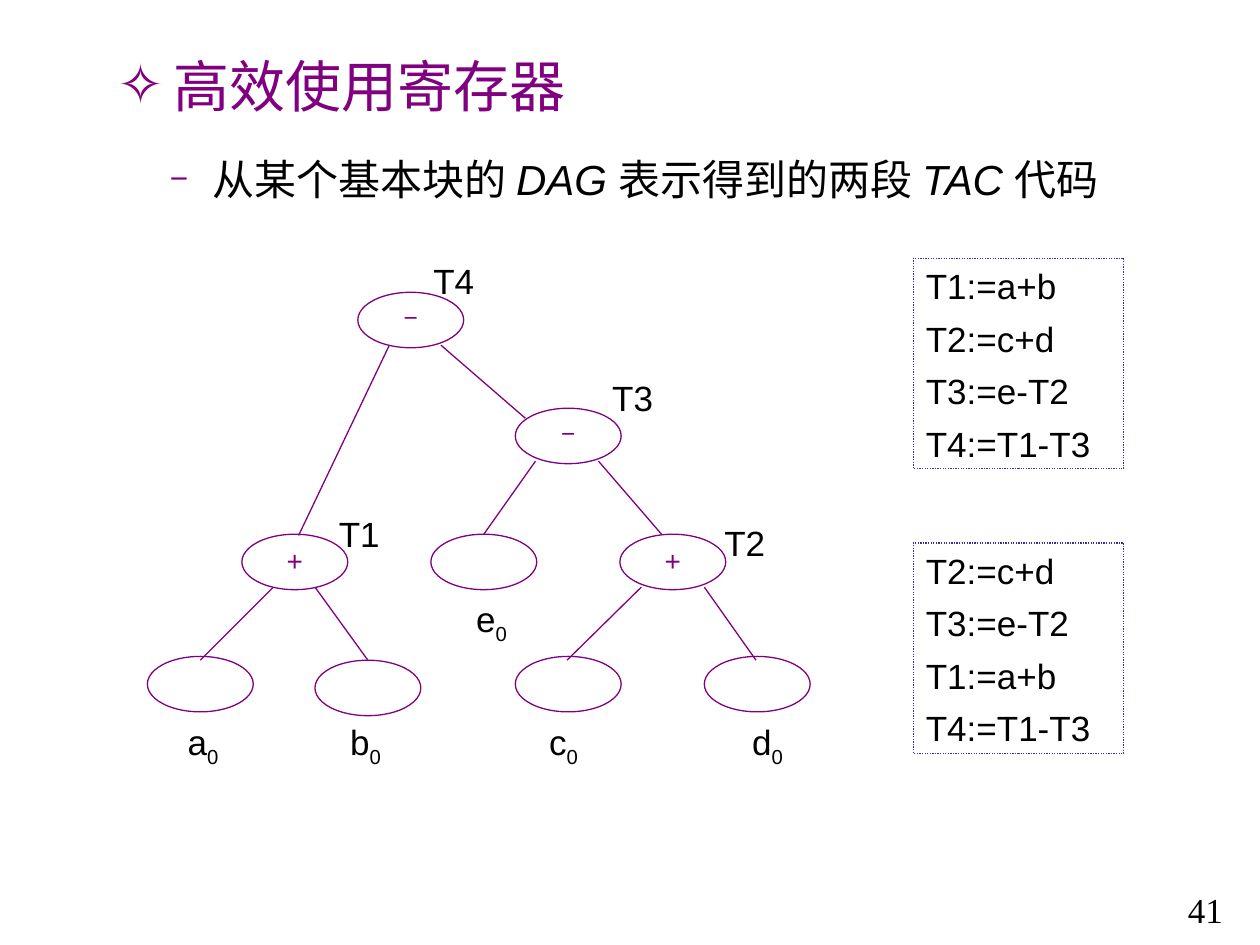
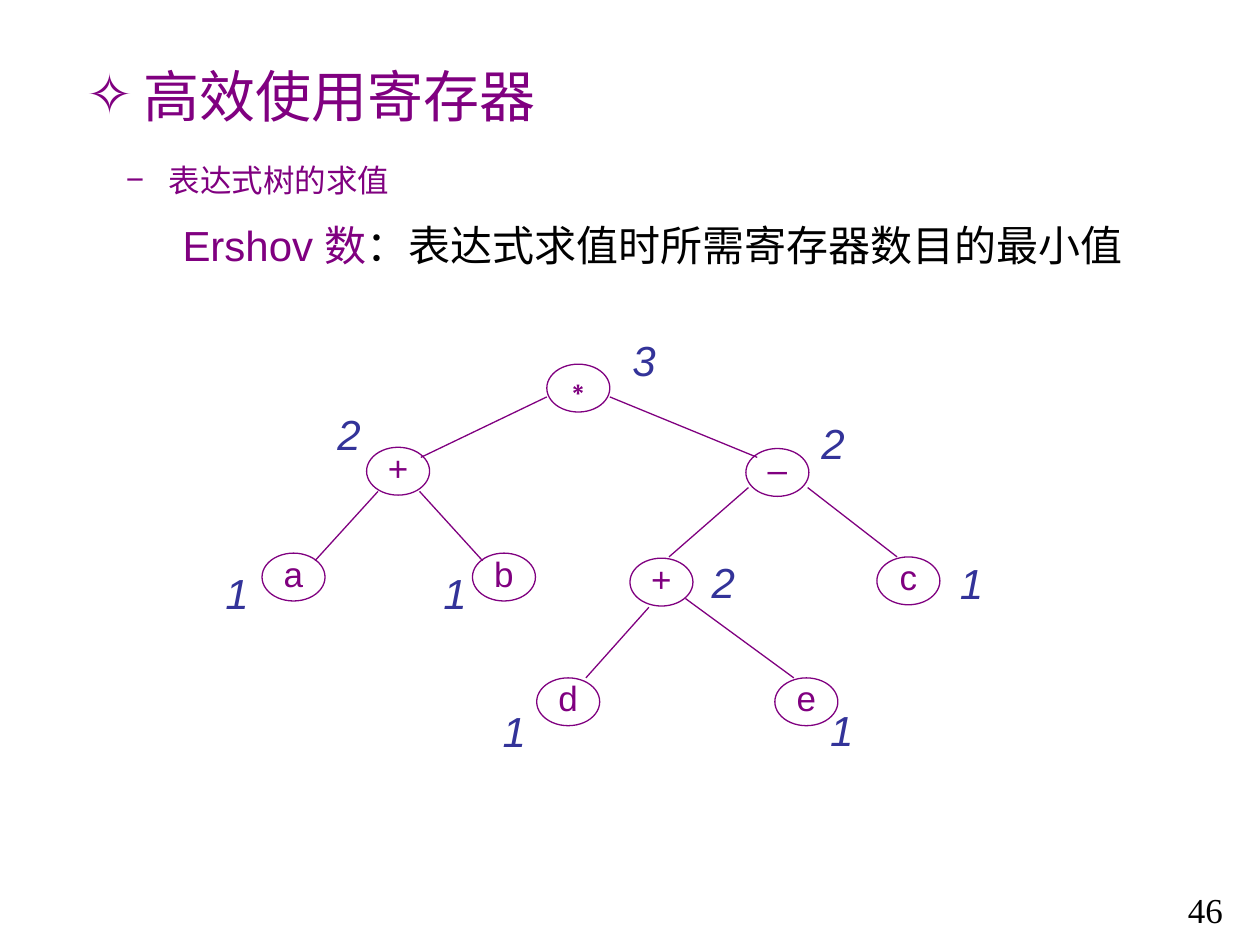
"""Build two slides on efficient register use: a DAG with its code, and an Ershov-numbered tree."""
from dataclasses import dataclass
from typing import Optional

from lxml.etree import SubElement
from pptx import Presentation
from pptx.dml.color import RGBColor
from pptx.enum.dml import MSO_LINE
from pptx.enum.shapes import MSO_CONNECTOR, MSO_SHAPE
from pptx.enum.text import MSO_ANCHOR, MSO_AUTO_SIZE, PP_ALIGN
from pptx.oxml.ns import qn
from pptx.util import Inches, Pt


@dataclass(frozen=True)
class Theme:
    purple: RGBColor = RGBColor(0x80, 0x00, 0x80)
    navy: RGBColor = RGBColor(0x33, 0x33, 0x99)
    black: RGBColor = RGBColor(0, 0, 0)
    white: RGBColor = RGBColor(0xFF, 0xFF, 0xFF)
    font: str = "Arial"
    number_font: str = "Times New Roman"
    title_size: int = 32
    lead_size: int = 24
    body_size: int = 20
    topic_size: int = 18
    plus_size: int = 16
    minus_size: int = 14
    line_width: float = 0.75


THEME = Theme()


@dataclass(frozen=True)
class Span:
    text: str
    color: Optional[RGBColor] = None
    italic: bool = False
    subscript: bool = False


@dataclass(frozen=True)
class Node:
    left: float
    top: float
    text: str = ""
    size: int = THEME.body_size


@dataclass(frozen=True)
class Label:
    left: float
    top: float
    text: str
    subscript: str = ""


@dataclass(frozen=True)
class Edge:
    start: tuple[float, float]
    end: tuple[float, float]


@dataclass(frozen=True)
class NodeStyle:
    width: float
    height: float
    insets: tuple[float, float]
    anchor: MSO_ANCHOR
    line_spacing: float = 1.0
    fill: Optional[RGBColor] = None


DAG_STYLE = NodeStyle(0.84, 0.44, (0.06, 0.01), MSO_ANCHOR.TOP, fill=THEME.white)
TREE_STYLE = NodeStyle(0.5, 0.38, (0.1, 0), MSO_ANCHOR.MIDDLE, line_spacing=0.8)

DAG_NODES = [
    Node(2.84, 2.32, "−", THEME.minus_size),
    Node(4.09, 3.24, "−", THEME.minus_size),
    Node(1.92, 4.24, "+", THEME.plus_size),
    Node(3.42, 4.24),
    Node(4.92, 4.24, "+", THEME.plus_size),
    Node(1.17, 5.21),
    Node(2.5, 5.24),
    Node(4.09, 5.21),
    Node(5.59, 5.21),
]
DAG_EDGES = [
    Edge((3.09, 2.74), (2.37, 4.25)),
    Edge((3.5, 2.74), (4.17, 3.32)),
    Edge((4.25, 3.66), (3.84, 4.24)),
    Edge((4.75, 3.66), (5.25, 4.24)),
    Edge((2.17, 4.66), (1.59, 5.24)),
    Edge((2.5, 4.66), (2.92, 5.24)),
    Edge((5.09, 4.66), (4.5, 5.24)),
    Edge((5.59, 4.66), (6, 5.24)),
]
DAG_LABELS = [
    Label(3.34, 2.06, "T4"),
    Label(4.76, 2.99, "T3"),
    Label(2.59, 4.07, "T1"),
    Label(5.65, 4.14, "T2"),
    Label(3.68, 4.74, "e", "0"),
    Label(1.39, 5.72, "a", "0"),
    Label(2.68, 5.72, "b", "0"),
    Label(4.26, 5.72, "c", "0"),
    Label(5.87, 5.72, "d", "0"),
]
CODE_BOXES = {
    2.05: ["T1:=a+b", "T2:=c+d", "T3:=e-T2", "T4:=T1-T3"],
    4.31: ["T2:=c+d", "T3:=e-T2", "T1:=a+b", "T4:=T1-T3"],
}

TREE_NODES = [
    Node(4.34, 2.89, "∗"),
    Node(2.91, 3.55, "+"),
    Node(5.92, 3.56, "–"),
    Node(2.08, 4.39, "a"),
    Node(3.75, 4.39, "b"),
    Node(5, 4.43, "+"),
    Node(6.96, 4.42, "c"),
    Node(4.26, 5.38, "d"),
    Node(6.15, 5.38, "e"),
]
TREE_EDGES = [
    Edge((4.34, 3.15), (3.34, 3.63)),
    Edge((4.84, 3.15), (6.01, 3.63)),
    Edge((3, 3.9), (2.5, 4.45)),
    Edge((3.33, 3.9), (3.83, 4.45)),
    Edge((5.94, 3.87), (5.31, 4.42)),
    Edge((6.41, 3.87), (7.12, 4.42)),
    Edge((5.15, 4.82), (4.65, 5.38)),
    Edge((5.44, 4.75), (6.3, 5.38)),
]
ERSHOV_NUMBERS = [
    Label(4.92, 2.73, "3"),
    Label(2.58, 3.32, "2"),
    Label(6.42, 3.39, "2"),
    Label(1.69, 4.58, "1"),
    Label(3.42, 4.58, "1"),
    Label(5.55, 4.49, "2"),
    Label(7.52, 4.5, "1"),
    Label(3.89, 5.68, "1"),
    Label(6.49, 5.67, "1"),
]


def write_text(paragraph, spans, *, size: float, color=THEME.black, font: str = THEME.font,
               alignment=PP_ALIGN.LEFT, line_spacing: float = 1.0, space_before: float = 0,
               bullet: str = "", bullet_percent: int = 100, indent: float = 0) -> None:
    paragraph.alignment = alignment
    paragraph.line_spacing = line_spacing
    paragraph.space_before = Pt(space_before)
    properties = paragraph._p.get_or_add_pPr()
    properties.set("marL", str(Inches(indent)))
    properties.set("indent", str(-Inches(indent) if bullet else 0))
    if bullet:
        bullet_color = SubElement(properties, qn("a:buClr"))
        SubElement(bullet_color, qn("a:srgbClr"), val=str(THEME.purple))
        SubElement(properties, qn("a:buSzPct"), val=str(bullet_percent * 1000))
        SubElement(properties, qn("a:buFont"), typeface=THEME.font)
        SubElement(properties, qn("a:buChar"), char=bullet)
    for span in [Span(spans)] if isinstance(spans, str) else spans:
        run = paragraph.add_run()
        run.text = span.text
        run.font.size = Pt(size)
        run.font.name = font
        run.font.italic = span.italic
        run.font.color.rgb = span.color or color
        if span.subscript:
            run._r.get_or_add_rPr().set("baseline", "-25000")


def set_frame(shape, *, insets: tuple[float, float] = (0.1, 0.05),
              anchor=MSO_ANCHOR.TOP, wrap: bool = True):
    frame = shape.text_frame
    frame.auto_size = MSO_AUTO_SIZE.NONE
    frame.word_wrap = wrap
    frame.vertical_anchor = anchor
    frame.margin_left = frame.margin_right = Inches(insets[0])
    frame.margin_top = frame.margin_bottom = Inches(insets[1])
    return frame


def add_text_box(slide, left: float, top: float, width: float, height: float, **frame_format):
    box = slide.shapes.add_textbox(Inches(left), Inches(top), Inches(width), Inches(height))
    return set_frame(box, **frame_format)


def add_outlined_shape(slide, kind, left: float, top: float, width: float, height: float,
                       *, line_color: RGBColor, fill: Optional[RGBColor] = None):
    shape = slide.shapes.add_shape(kind, Inches(left), Inches(top), Inches(width), Inches(height))
    shape.shadow.inherit = False
    if fill is None:
        shape.fill.background()
    else:
        shape.fill.solid()
        shape.fill.fore_color.rgb = fill
    shape.line.color.rgb = line_color
    shape.line.width = Pt(THEME.line_width)
    return shape


def add_graph(slide, nodes: list[Node], edges: list[Edge], style: NodeStyle) -> None:
    for node in nodes:
        ellipse = add_outlined_shape(slide, MSO_SHAPE.OVAL, node.left, node.top, style.width,
                                     style.height, line_color=THEME.purple, fill=style.fill)
        if node.text:
            frame = set_frame(ellipse, insets=style.insets, anchor=style.anchor, wrap=False)
            write_text(frame.paragraphs[0], node.text, size=node.size, color=THEME.purple,
                       alignment=PP_ALIGN.CENTER, line_spacing=style.line_spacing)
    for edge in edges:
        connector = slide.shapes.add_connector(
            MSO_CONNECTOR.STRAIGHT, *(Inches(value) for value in edge.start + edge.end))
        connector.line.color.rgb = THEME.purple
        connector.line.width = Pt(THEME.line_width)
        SubElement(connector._element.spPr, qn("a:effectLst"))


def add_labels(slide, labels: list[Label], width: float, height: float, *, wrap: bool,
               italic: bool = False, **text_format) -> None:
    for label in labels:
        frame = add_text_box(slide, label.left, label.top, width, height,
                             insets=(0.1, 0), wrap=wrap)
        spans = [Span(label.text, italic=italic)]
        if label.subscript:
            spans.append(Span(label.subscript, subscript=True))
        write_text(frame.paragraphs[0], spans, **text_format)


def add_code_box(slide, top: float, lines: list[str]) -> None:
    box = add_outlined_shape(slide, MSO_SHAPE.RECTANGLE, 7.25, top, 1.67, 1.67,
                             line_color=THEME.navy)
    box.line.dash_style = MSO_LINE.ROUND_DOT
    frame = set_frame(box)
    for index, line in enumerate(lines):
        paragraph = frame.add_paragraph() if index else frame.paragraphs[0]
        write_text(paragraph, line, size=THEME.body_size, space_before=6 if index else 0)


def add_slide(presentation, title_left: float, title_top: float, number: str):
    slide = presentation.slides.add_slide(presentation.slide_layouts[5])
    title = slide.shapes.title
    title.left, title.top = Inches(title_left), Inches(title_top)
    title.width, title.height = Inches(4.09), Inches(0.64)
    write_text(set_frame(title).paragraphs[0], "高效使用寄存器", size=THEME.title_size,
               color=THEME.purple, bullet="✧", indent=0.45)
    number_frame = add_text_box(slide, 9.33, 7, 0.67, 0.44)
    write_text(number_frame.paragraphs[0], number, size=THEME.body_size, font=THEME.number_font)
    return slide


def build_dag_slide(presentation) -> None:
    slide = add_slide(presentation, 0.83, 0.36, "41")
    frame = add_text_box(slide, 1.25, 1.17, 7.92, 0.9)
    write_text(frame.paragraphs[0],
               [Span("从某个基本块的 "), Span("DAG ", italic=True), Span("表示得到的两段 "),
                Span("TAC ", italic=True), Span("代码")],
               size=THEME.lead_size, bullet="−", bullet_percent=75, indent=0.34)
    add_graph(slide, DAG_NODES, DAG_EDGES, DAG_STYLE)
    add_labels(slide, DAG_LABELS, 0.52, 0.33, wrap=False, size=THEME.body_size)
    for top, lines in CODE_BOXES.items():
        add_code_box(slide, top, lines)


def build_ershov_slide(presentation) -> None:
    slide = add_slide(presentation, 0.59, 0.44, "46")
    frame = add_text_box(slide, 0.9, 1.23, 8.51, 0.97)
    write_text(frame.paragraphs[0], "表达式树的求值", size=THEME.topic_size,
               color=THEME.purple, bullet="−", indent=0.34)
    write_text(frame.add_paragraph(),
               [Span("Ershov 数", THEME.purple), Span("：表达式求值时所需寄存器数目的最小值")],
               size=THEME.lead_size, space_before=12, indent=0.45)
    add_graph(slide, TREE_NODES, TREE_EDGES, TREE_STYLE)
    add_labels(slide, ERSHOV_NUMBERS, 0.39, 0.32, wrap=True, italic=True,
               size=THEME.lead_size, color=THEME.navy, line_spacing=0.8)


def main() -> None:
    presentation = Presentation()
    presentation.slide_width, presentation.slide_height = Inches(10), Inches(7.5)
    build_dag_slide(presentation)
    build_ershov_slide(presentation)
    presentation.save("out.pptx")


if __name__ == "__main__":
    main()
